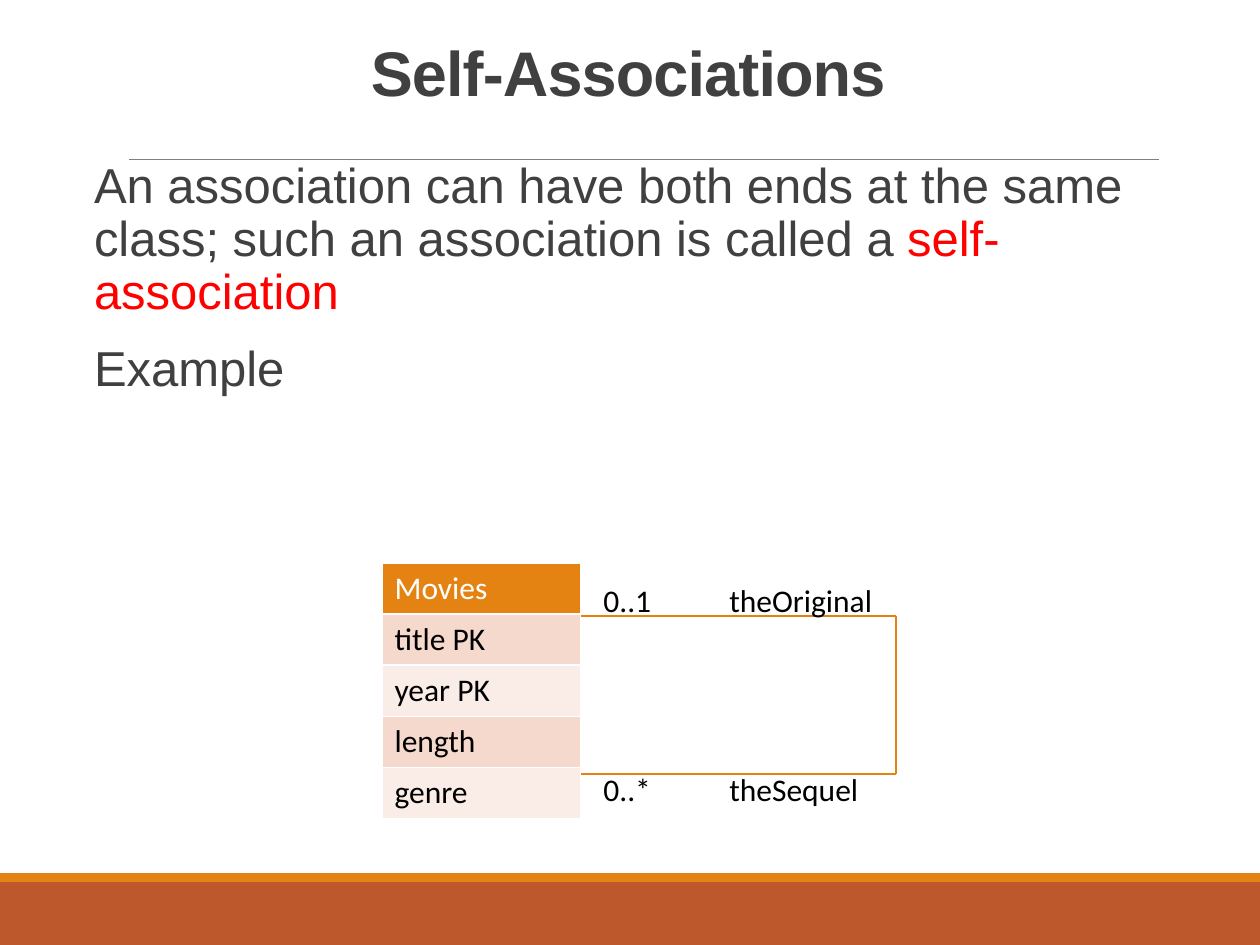
from dataclasses import dataclass
from itertools import pairwise

from lxml.etree import SubElement
from pptx import Presentation
from pptx.dml.color import RGBColor
from pptx.enum.shapes import MSO_CONNECTOR, MSO_SHAPE
from pptx.enum.text import MSO_ANCHOR, MSO_AUTO_SIZE, PP_ALIGN
from pptx.oxml.ns import qn
from pptx.util import Emu, Pt

EMU_PER_PX = 914400 / 126


@dataclass(frozen=True)
class Theme:
    orange: str = "E48312"
    rust: str = "BD582C"
    row_dark: str = "F5D9CC"
    row_light: str = "FAEDE7"
    rule: str = "808080"
    heading: str = "404040"
    emphasis: str = "FF0000"
    text: str = "000000"
    inverse: str = "FFFFFF"
    heading_font: str = "Arial"
    diagram_font: str = "Calibri"
    title_size: int = 36
    body_size: int = 28
    diagram_size: int = 18


THEME = Theme()


def px(value):
    return Emu(round(value * EMU_PER_PX))


def place(shape, left, top, width, height):
    shape.left, shape.top = px(left), px(top)
    shape.width, shape.height = px(width), px(height)


def add_text(paragraph, text, font=THEME.diagram_font, size=THEME.diagram_size,
             color=THEME.text, bold=False, spacing=None):
    """Append a formatted run; spacing is in hundredths of a point."""
    run = paragraph.add_run()
    run.text = text
    run.font.name = font
    run.font.size = Pt(size)
    run.font.bold = bold
    run.font.color.rgb = RGBColor.from_string(color)
    if spacing is not None:
        run.font._element.set("spc", str(spacing))


def add_band(slide, top, height, color):
    band = slide.shapes.add_shape(MSO_SHAPE.RECTANGLE, px(0), px(top), px(1260), px(height))
    band.shadow.inherit = False
    band.fill.solid()
    band.fill.fore_color.rgb = RGBColor.from_string(color)
    band.line.fill.background()


def add_line(shapes, start, end, color, width):
    line = shapes.add_connector(MSO_CONNECTOR.STRAIGHT, *map(px, start), *map(px, end))
    line.line.color.rgb = RGBColor.from_string(color)
    line.line.width = Pt(width)
    SubElement(line._element.spPr, qn("a:effectLst"))


def add_label(shapes, text, left, top, width):
    label = shapes.add_textbox(px(left), px(top), px(width), px(50))
    label.text_frame.word_wrap = False
    label.text_frame.auto_size = MSO_AUTO_SIZE.SHAPE_TO_FIT_TEXT
    add_text(label.text_frame.paragraphs[0], text)


def fill_title(title, text):
    place(title, 81, 39, 1094, 116)
    frame = title.text_frame
    frame.auto_size = MSO_AUTO_SIZE.NONE
    frame.vertical_anchor = MSO_ANCHOR.TOP
    paragraph = frame.paragraphs[0]
    paragraph.alignment = PP_ALIGN.CENTER
    paragraph.line_spacing = 0.85
    add_text(paragraph, text, font=THEME.heading_font, size=THEME.title_size,
             color=THEME.heading, bold=True, spacing=-50)


def fill_body(body, paragraphs):
    """Fill the body from lists of (text, color) pairs, one list a paragraph."""
    place(body, 81, 155, 1094, 698)
    frame = body.text_frame
    frame.auto_size = MSO_AUTO_SIZE.NONE
    frame.vertical_anchor = MSO_ANCHOR.TOP
    frame.margin_left = frame.margin_right = 0
    for index, runs in enumerate(paragraphs):
        paragraph = frame.add_paragraph() if index else frame.paragraphs[0]
        properties = paragraph._p.get_or_add_pPr()
        properties.set("marL", str(px(13)))
        properties.set("indent", "0")
        SubElement(properties, qn("a:buNone"))
        paragraph.line_spacing = 0.9
        paragraph.space_before = Pt(12 if index else 0)
        paragraph.space_after = Pt(2)
        for text, color in runs:
            add_text(paragraph, text, font=THEME.heading_font,
                     size=THEME.body_size, color=color)


def add_class_table(slide, name, attributes):
    rows = [name, *attributes]
    table = slide.shapes.add_table(len(rows), 1, px(382), px(563),
                                   px(199), px(51 * len(rows))).table
    for index, text in enumerate(rows):
        table.rows[index].height = px(51)
        cell = table.cell(index, 0)
        fill = THEME.row_dark if index % 2 else THEME.row_light
        cell.fill.solid()
        cell.fill.fore_color.rgb = RGBColor.from_string(fill if index else THEME.orange)
        add_text(cell.text_frame.paragraphs[0], text,
                 color=THEME.text if index else THEME.inverse)


def add_self_association(slide):
    shapes = slide.shapes.add_group_shape().shapes
    left, right, top, bottom = 581, 896, 616, 774
    corners = [(left, top), (right, top), (right, bottom), (left, bottom)]
    for start, end in pairwise(corners):
        add_line(shapes, start, end, THEME.orange, 1)
    ends = [("0..1", "theOriginal", 575), ("0..*", "theSequel", 764)]
    for multiplicity, role, label_top in ends:
        add_label(shapes, multiplicity, 591, label_top, 75)
        add_label(shapes, role, 717, label_top, 170)


def main():
    presentation = Presentation()
    presentation.slide_width, presentation.slide_height = px(1260), px(945)
    slide = presentation.slides.add_slide(presentation.slide_layouts[1])

    add_band(slide, 882, 63, THEME.rust)
    add_band(slide, 873, 9, THEME.orange)
    add_line(slide.shapes, (129, 159), (1159, 159), THEME.rule, 0.5)
    fill_title(slide.shapes.title, "Self-Associations")
    fill_body(slide.placeholders[1], [
        [("An association can have both ends at the same class; "
          "such an association is called a ", THEME.heading),
         ("self-association", THEME.emphasis)],
        [("Example", THEME.heading)],
    ])
    add_class_table(slide, "Movies", ["title PK", "year PK", "length", "genre"])
    add_self_association(slide)
    presentation.save("out.pptx")


if __name__ == "__main__":
    main()
